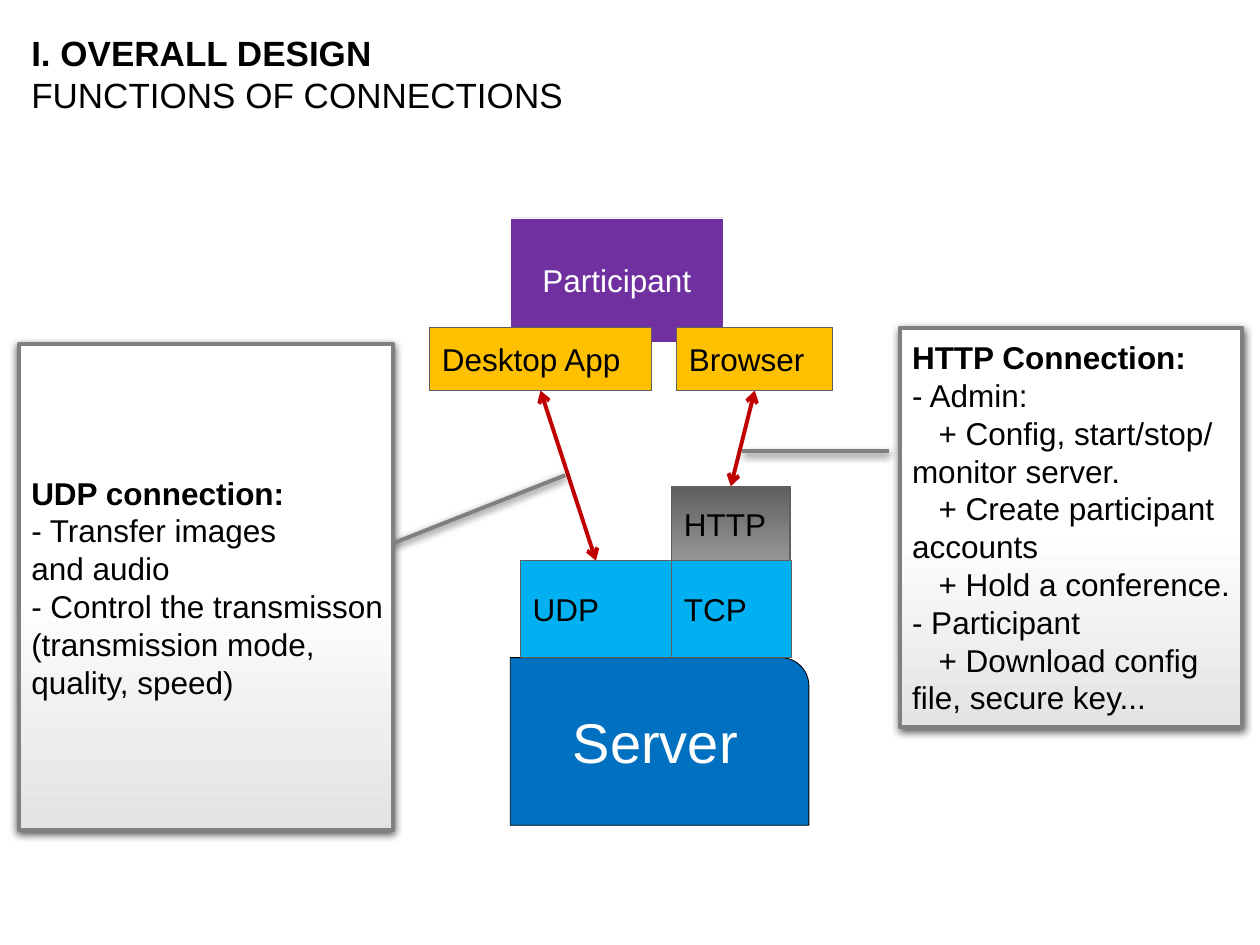
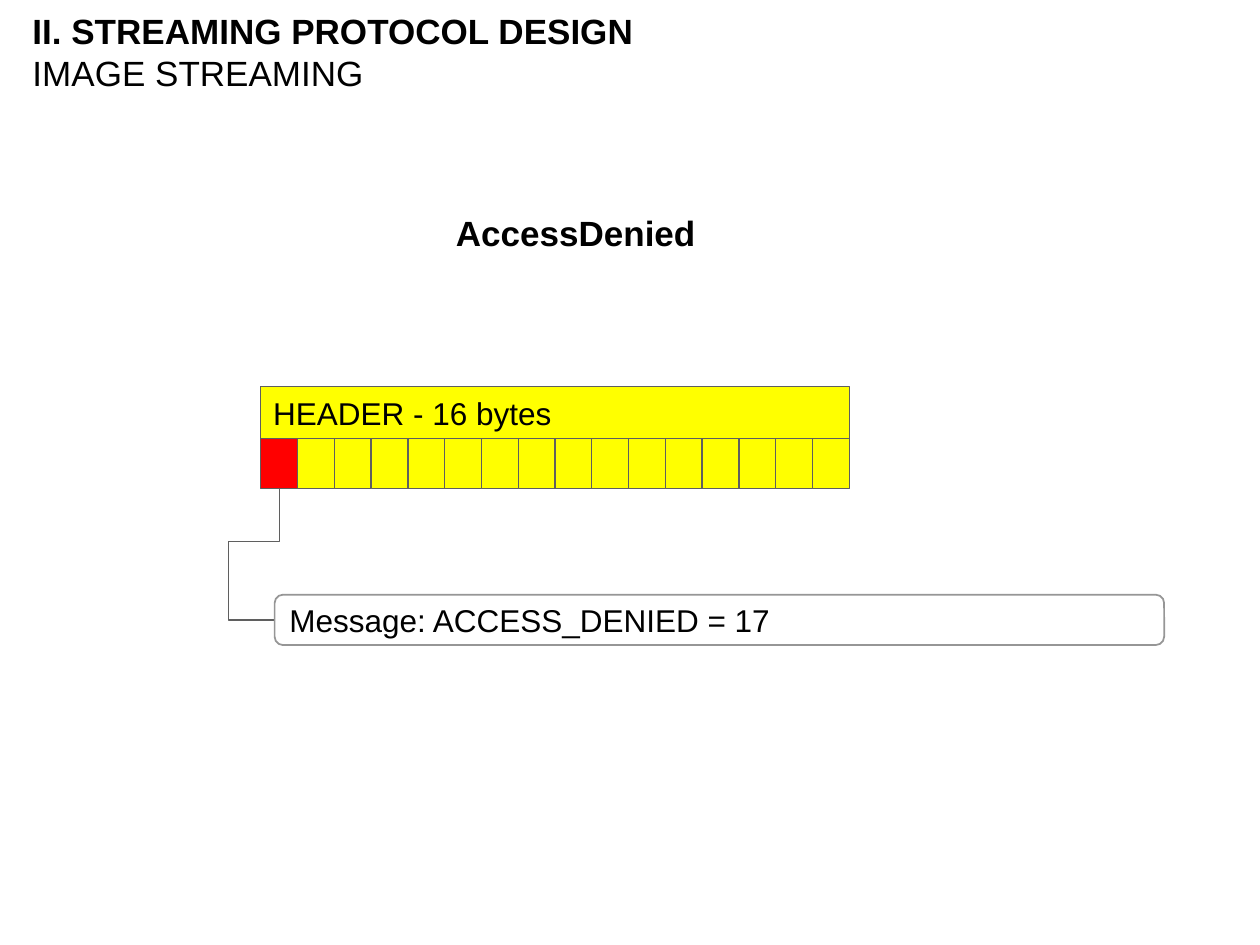
import pptx
import pptx.dml.color
import pptx.enum.shapes
import pptx.enum.text
import pptx.oxml
import pptx.oxml.ns
import pptx.util
from lxml import etree

Inches, Pt = pptx.util.Inches, pptx.util.Pt
SHAPE = pptx.enum.shapes.MSO_SHAPE
CONNECTOR = pptx.enum.shapes.MSO_CONNECTOR
ANCHOR = pptx.enum.text.MSO_ANCHOR
ALIGN = pptx.enum.text.PP_ALIGN
qn = pptx.oxml.ns.qn

FONT = "Arial"
BLACK, WHITE = "000000", "FFFFFF"
EDGE, CALLOUT_EDGE, MESSAGE_EDGE = "5F5F5F", "808080", "969696"
PURPLE, AMBER, SKY, BLUE = "7030A0", "FFC000", "00B0F0", "0070C0"
ARROW, YELLOW, RED = "C00000", "FFFF00", "FF0000"
HTTP_FILL = ((0, "5F5F5F"), (1, "969696"))
CALLOUT_FILL = ((0.5, WHITE), (1, "E3E3E3"))
SUB_ITEM_INDENT = 0.21


def rgb(color):
    return pptx.dml.color.RGBColor.from_string(color)


def write(shape, lines, size=18, color=BLACK, bold_first=False,
          align=ALIGN.LEFT, anchor=ANCHOR.MIDDLE, wrap=False):
    """Fill a shape with one paragraph per line, indenting lines that start with +."""
    tf = shape.text_frame
    tf.word_wrap = wrap
    tf.vertical_anchor = anchor
    tf.text = "\n".join(lines)
    for i, p in enumerate(tf.paragraphs):
        p.alignment = align
        if p.text.startswith("+"):
            p._p.get_or_add_pPr().set("indent", str(Inches(SUB_ITEM_INDENT)))
        for r in p.runs:
            r.font.name = FONT
            r.font.size = Pt(size)
            r.font.bold = bold_first and i == 0
            r.font.color.rgb = rgb(color)


def add_text(slide, box, lines, **style):
    write(slide.shapes.add_textbox(*map(Inches, box)), lines, size=20,
          bold_first=True, wrap=True, **style)


def add_box(slide, box, fill, text="", kind=SHAPE.RECTANGLE, line=EDGE, weight=0.75,
            **style):
    """Draw a shape filled with a colour, or with a downward gradient of two stops."""
    sp = slide.shapes.add_shape(kind, *map(Inches, box))
    sp.shadow.inherit = False
    if isinstance(fill, str):
        sp.fill.solid()
        sp.fill.fore_color.rgb = rgb(fill)
    else:
        sp.fill.gradient()
        sp.fill.gradient_angle = 270
        for stop, (position, color) in zip(sp.fill.gradient_stops, fill):
            stop.position = position
            stop.color.rgb = rgb(color)
    sp.line.color.rgb = rgb(line)
    sp.line.width = Pt(weight)
    if text:
        write(sp, text.split("\n"), **style)
    return sp


def add_callout(slide, box, pointer, text):
    sp = add_box(slide, box, CALLOUT_FILL, text, SHAPE.LINE_CALLOUT_1,
                 CALLOUT_EDGE, 2.25, bold_first=True)
    for i, value in enumerate(pointer):
        sp.adjustments[i] = value
    effects = sp._element.spPr.find(qn("a:effectLst"))
    shadow = etree.SubElement(effects, qn("a:outerShdw"), blurRad=str(Pt(4.5)),
                              dist=str(Pt(1.5)), dir="5400000", rotWithShape="0")
    color = etree.SubElement(shadow, qn("a:srgbClr"), val=BLACK)
    etree.SubElement(color, qn("a:alpha"), val="63000")


def add_line(slide, start, end, color, weight, kind=CONNECTOR.STRAIGHT):
    cxn = slide.shapes.add_connector(kind, *map(Inches, (*start, *end)))
    cxn.line.color.rgb = rgb(color)
    cxn.line.width = Pt(weight)
    etree.SubElement(cxn._element.spPr, qn("a:effectLst"))
    return cxn


def add_double_arrow(slide, start, end):
    ln = add_line(slide, start, end, ARROW, 2.25).line._get_or_add_ln()
    for end_name in ("a:headEnd", "a:tailEnd"):
        etree.SubElement(ln, qn(end_name), type="arrow")


def add_bracket(slide, start, end, turn_y, left):
    """Draw an elbow that goes down from start, out to left, then back right to end."""
    (x1, y1), (x2, y2) = start, end
    drop, shift = y2 - y1, x1 - x2
    cx, cy = (x1 + x2) / 2, (y1 + y2) / 2
    cxn = add_line(slide, (cx - drop / 2, cy - shift / 2),
                   (cx + drop / 2, cy + shift / 2), EDGE, 0.75, CONNECTOR.ELBOW)
    spPr = cxn._element.spPr
    spPr.find(qn("a:xfrm")).set("rot", "5400000")
    geom = spPr.find(qn("a:prstGeom"))
    geom.set("prst", "bentConnector4")
    guides = geom.find(qn("a:avLst"))
    for name, ratio in (("adj1", (turn_y - y1) / drop), ("adj2", (x1 - left) / shift)):
        etree.SubElement(guides, qn("a:gd"), name=name,
                         fmla=f"val {round(ratio * 100000)}")


def add_title(slide, left, top, section, topic):
    add_text(slide, (left, top, 9, 0.64), [section, topic])


def participant_block(slide, x, y):
    add_box(slide, (x + 0.64, y, 1.69, 0.99), PURPLE, "Participant", line=WHITE,
            weight=0.5, color=WHITE, align=ALIGN.CENTER)
    for dx, width, name in ((1.96, 1.24, "Browser"), (0, 1.76, "Desktop App")):
        add_box(slide, (x + dx, y + 0.87, width, 0.5), AMBER, name)


def server_block(slide, x, y):
    add_box(slide, (x, y + 1.36, 2.37, 1.33), BLUE, "Server",
            SHAPE.ROUND_1_RECTANGLE, BLACK, 0.5, size=32, color=WHITE,
            align=ALIGN.CENTER)
    for dx, width, name in ((0.08, 1.2, "UDP"), (1.28, 0.95, "TCP")):
        add_box(slide, (x + dx, y + 0.59, width, 0.77), SKY, name)
    add_box(slide, (x + 1.28, y, 0.94, 0.59), HTTP_FILL, "HTTP")


def message_layout(slide, x, y, width, count, message):
    """Draw a header, its row of byte cells, and a note tied to the first cell."""
    cell, height = width / count, 0.4
    row = y + 0.41
    add_box(slide, (x, y, width, height + 0.01), YELLOW, f"HEADER - {count} bytes")
    for i in range(count):
        add_box(slide, (x + i * cell, row, cell, height), YELLOW if i else RED)
    note_x, note_y = x + 0.11, y + 1.65
    add_bracket(slide, (x + cell / 2, row + height), (note_x, note_y + height / 2),
                y + 1.23, x - 0.26)
    add_box(slide, (note_x, note_y, 7.06, height), WHITE, message,
            SHAPE.ROUNDED_RECTANGLE, MESSAGE_EDGE, 1)


def connections_slide(slide):
    add_title(slide, 0.15, 0.26, "I. OVERALL DESIGN", "FUNCTIONS OF CONNECTIONS")
    participant_block(slide, 3.41, 1.73)
    server_block(slide, 4.05, 3.86)
    add_double_arrow(slide, (5.99, 3.1), (5.8, 3.86))
    add_double_arrow(slide, (4.29, 3.1), (4.73, 4.45))
    add_callout(slide, (7.14, 2.6, 2.72, 3.17), (0.31, -0.03, 0.31, -0.46),
                "HTTP Connection:\n- Admin:\n+ Config, start/stop/\nmonitor server.\n"
                "+ Create participant\naccounts\n+ Hold a conference.\n"
                "- Participant\n+ Download config\nfile, secure key...")
    add_callout(slide, (0.15, 2.73, 2.97, 3.86), (0.41, 1, 0.27, 1.46),
                "UDP connection:\n- Transfer images\nand audio\n"
                "- Control the transmisson\n(transmission mode,\nquality, speed)")


def access_denied_slide(slide):
    add_title(slide, 0.16, 0.09, "II. STREAMING PROTOCOL DESIGN", "IMAGE STREAMING")
    add_text(slide, (3.52, 1.63, 4.67, 0.44), ["AccessDenied"], anchor=ANCHOR.TOP)
    message_layout(slide, 2.07, 3.07, 4.67, 16, "Message: ACCESS_DENIED = 17")


def main():
    prs = pptx.Presentation()
    prs.slide_width, prs.slide_height = Inches(10), Inches(7.5)
    for build in (connections_slide, access_denied_slide):
        build(prs.slides.add_slide(prs.slide_layouts[6]))
    prs.save("out.pptx")


if __name__ == "__main__":
    main()
